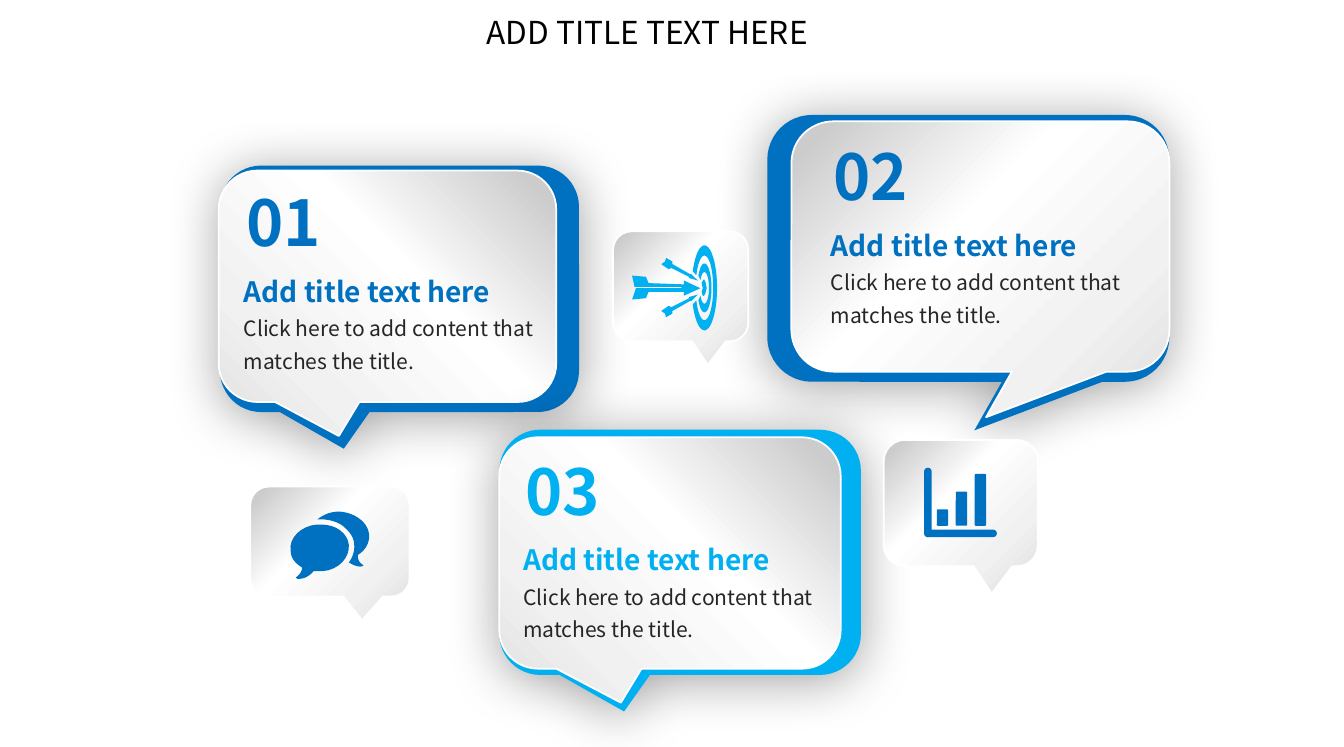
"""Build a slide of three numbered speech callouts with three icon bubbles."""
import math

import pptx
import pptx.dml.color
import pptx.enum.shapes
import pptx.enum.text
import pptx.oxml
import pptx.oxml.ns
import pptx.util

Pt = pptx.util.Pt
Preset = pptx.enum.shapes.MSO_SHAPE
COLORS = {"blue": "0070C0", "sky": "00B0F0", "white": "FFFFFF", "black": "000000", "body": "262626"}
SHEEN = [(6, "CCCCCC"), (43, "FFFFFF"), (80, "F1F1F1"), (100, "E4E4E4")]
NAMESPACE = pptx.oxml.ns.nsdecls("a")
SMALL_TAIL = (-0.201, 0.716)


def curve(points):
    """Turn a start point and six-number cubic segments into a polyline."""
    outline = [points[0]]
    for x1, y1, x2, y2, x3, y3 in points[1:]:
        x0, y0 = outline[-1]
        for step in range(1, 9):
            t = step / 8
            weights = ((1 - t) ** 3, 3 * t * (1 - t) ** 2, 3 * t * t * (1 - t), t ** 3)
            outline.append((sum(w * x for w, x in zip(weights, (x0, x1, x2, x3))),
                            sum(w * y for w, y in zip(weights, (y0, y1, y2, y3)))))
    return outline


def arc(center, radii, gap):
    """Trace an ellipse that is open by gap degrees on each side of its left end."""
    angles = [math.radians(180 + gap + (360 - 2 * gap) * step / 40) for step in range(41)]
    return [(center[0] + radii[0] * math.cos(a), center[1] + radii[1] * math.sin(a)) for a in angles]


class Slide:
    """Hold the style and the current page."""

    def __init__(self, page, font):
        self.page = page
        self.font = font

    def paint(self, shape, color):
        shape.shadow.inherit = False
        shape.fill.solid()
        shape.fill.fore_color.rgb = pptx.dml.color.RGBColor.from_string(COLORS[color])
        shape.line.fill.background()

    def preset(self, kind, frame, color, adjustments):
        shape = self.page.shapes.add_shape(kind, *map(Pt, frame))
        for index, value in enumerate(adjustments):
            shape.adjustments[index] = value
        self.paint(shape, color)
        return shape

    def callout(self, frame, tail, color, flip):
        shape = self.preset(Preset.ROUNDED_RECTANGULAR_CALLOUT, frame, color, (*tail, 0.167))
        if flip:
            shape._element.spPr.find(pptx.oxml.ns.qn("a:xfrm")).set("flipH", "1")
        return shape

    def colored_callout(self, frame, tail, color, flip):
        shape = self.callout(frame, tail, color, flip)
        effects = shape._element.spPr.find(pptx.oxml.ns.qn("a:effectLst"))
        effects.append(pptx.oxml.parse_xml(
            f'<a:outerShdw {NAMESPACE} blurRad="{Pt(31)}" dist="{Pt(3)}" dir="5400000" algn="ctr" '
            f'rotWithShape="0"><a:srgbClr val="{COLORS["black"]}"><a:alpha val="37000"/>'
            '</a:srgbClr></a:outerShdw>'))

    def glossy_callout(self, frame, tail, flip):
        shape = self.callout(frame, tail, "white", flip)
        shape.fill.gradient()
        shape.fill.gradient_angle = 225
        stops = shape._element.spPr.find(".//" + pptx.oxml.ns.qn("a:gsLst"))
        for stop in list(stops):
            stops.remove(stop)
        for position, color in SHEEN:
            stops.append(pptx.oxml.parse_xml(
                f'<a:gs {NAMESPACE} pos="{position * 1000}"><a:srgbClr val="{color}"/></a:gs>'))
        shape.line.color.rgb = pptx.dml.color.RGBColor.from_string(COLORS["white"])
        shape.line.width = Pt(1)

    def outline(self, points, color):
        corners = [(Pt(x), Pt(y)) for x, y in points]
        builder = self.page.shapes.build_freeform(*corners[0])
        builder.add_line_segments(corners[1:], close=True)
        self.paint(builder.convert_to_shape(), color)

    def text(self, frame, insets, lines, spacing=None):
        box = self.page.shapes.add_textbox(*map(Pt, frame)).text_frame
        box.word_wrap = True
        box.margin_left = box.margin_right = Pt(insets[0])
        box.margin_top = box.margin_bottom = Pt(insets[1])
        for index, (words, size, color, bold) in enumerate(lines):
            para = box.add_paragraph() if index else box.paragraphs[0]
            para.text = words
            para.font.name = self.font
            para.font.size = Pt(size)
            para.font.bold = bold
            para.font.color.rgb = pptx.dml.color.RGBColor.from_string(COLORS[color])
            if spacing:
                para.line_spacing = spacing


def draw_chart_icon(slide):
    """Draw two axes and three rising bars."""
    for axis in ((526.3, 266.4, 4.3, 39.6), (526.3, 301.7, 41.4, 4.3)):
        slide.preset(Preset.ROUNDED_RECTANGLE, axis, "blue", (0.5,))
    for index in range(3):
        height = 9.3 + 10.1 * index
        bar = (533.5 + 10.8 * index, 299.5 - height, 6.5, height)
        slide.preset(Preset.ROUNDED_RECTANGLE, bar, "blue", (0.1,))


def draw_target_icon(slide):
    """Draw two open rings, a bullseye and three arrows."""
    center = (401.2, 164)
    for outer, inner, gap in (((7.2, 24.2), (5, 18.4), 23), ((4, 13.9), (2.6, 9), 30)):
        slide.outline(arc(center, outer, gap) + arc(center, inner, gap)[::-1], "sky")
    slide.outline([(401, 159.1), (400.3, 159.8), (399.6, 161.3), (400.3, 164.2), (399.6, 166.3),
                   (400.3, 168.5), (401, 168.5), (401.8, 167), (402.5, 164.2), (401.8, 160.6)], "sky")
    slide.outline([(369.4, 166.3), (389.5, 166.3), (389.5, 168.5), (398.9, 164.2), (389.5, 159.8),
                   (389.5, 162), (369.4, 161.3), (367.9, 157.7), (360, 157), (361.4, 163.4),
                   (388.1, 163.4), (388.1, 164.2), (362.2, 164.2), (360, 170.6), (367.9, 169.9)], "sky")
    lower = [(383, 177.1), (393.1, 171.4), (393.8, 171.4), (397.4, 167.8), (392.4, 169.2),
             (392.4, 169.9), (382.3, 175), (380.9, 174.2), (376.6, 177.1), (378.7, 178.6),
             (391.7, 170.6), (378.7, 178.6), (379.4, 180.7), (383, 178.6)]
    slide.outline(lower, "sky")
    slide.outline([(x, 2 * 163.8 - y) for x, y in lower], "sky")


def draw_chat_icon(slide):
    """Draw two overlapping speech balloons."""
    back = [(210.2, 306.7), (211, 299.5, 204.5, 293, 195.1, 291.6),
            (189.4, 290.9, 184.3, 293, 180.7, 295.9), (181.4, 295.9, 182.2, 295.9, 182.9, 295.9),
            (187.9, 295.9, 192.2, 297.4, 195.1, 299.5), (198.7, 302.4, 201.6, 306, 201.6, 309.6),
            (202.3, 313.2, 200.9, 317.5, 198.7, 320.4), (203.8, 324, 208.1, 322.6, 206.6, 321.8),
            (203.8, 319.7, 203.8, 318.2, 203.8, 316.1), (207.4, 313.9, 209.5, 311, 210.2, 306.7)]
    front = [(198.7, 310.3), (198, 303.8, 191.5, 298.8, 182.9, 298.8),
             (182.2, 298.8, 181.4, 298.8, 180.7, 298.8), (171.4, 299.5, 164.2, 306.7, 165.6, 313.9),
             (165.6, 318.2, 168.5, 321.1, 172.1, 323.3), (172.1, 324.7, 171.4, 326.9, 168.5, 329),
             (168.5, 329, 169.2, 329.8, 169.9, 329.8), (172.1, 329.8, 175.7, 329, 178.6, 325.4),
             (180, 325.4, 182.2, 325.4, 183.6, 325.4), (193, 324.7, 199.4, 317.5, 198.7, 310.3)]
    for balloon in (back, front):
        slide.outline(curve(balloon), "blue")


deck = pptx.Presentation()
deck.slide_width, deck.slide_height = Pt(765.4), Pt(425.5)
slide = Slide(deck.slides.add_slide(deck.slide_layouts[6]), "Noto Sans CJK SC")

LEFT_TAILS = ((-0.155, 0.649), (-0.144, 0.647))
RIGHT_TAILS = ((-0.015, 0.682), (-0.015, 0.682))
for back, front, tails, color, flip in (
        ((437, 65.5, 229, 152), (450.7, 69.1, 215.3, 142.6), RIGHT_TAILS, "blue", True),
        ((125.3, 94.3, 204.5, 140.4), (124.6, 97.2, 192.2, 131.8), LEFT_TAILS, "blue", False),
        ((284.4, 244.8, 205.9, 139.7), (284.4, 249.1, 194.4, 131.8), LEFT_TAILS, "sky", False)):
    slide.colored_callout(back, tails[0], color, flip)
    slide.glossy_callout(front, tails[1], flip)

for bubble, draw_icon in (((503.3, 250.6, 87.8, 72), draw_chart_icon),
                          ((349.2, 131.8, 77, 62.6), draw_target_icon),
                          ((142.6, 277.2, 90.7, 62.6), draw_chat_icon)):
    slide.glossy_callout(bubble, SMALL_TAIL, True)
    draw_icon(slide)

for number, left, top, color in (("01", 133.2, 100.8, "blue"), ("02", 467.6, 74.9, "blue"),
                                 ("03", 292.3, 253.8, "sky")):
    slide.text((left, top, 62.6, 25.2), (7.2, 3.6), [(number, 36, color, True)])
    slide.text((left, top + 46.8, 209.5, 67), (5.6, 2.8),
               [("Add title text here", 16, color, True),
                ("Click here to add content that matches the title.", 12, "body", False)], 1.3)

slide.text((272.2, 4.3, 208, 27.4), (5, 2.8), [("ADD TITLE TEXT HERE", 18, "black", False)])
deck.save("out.pptx")
